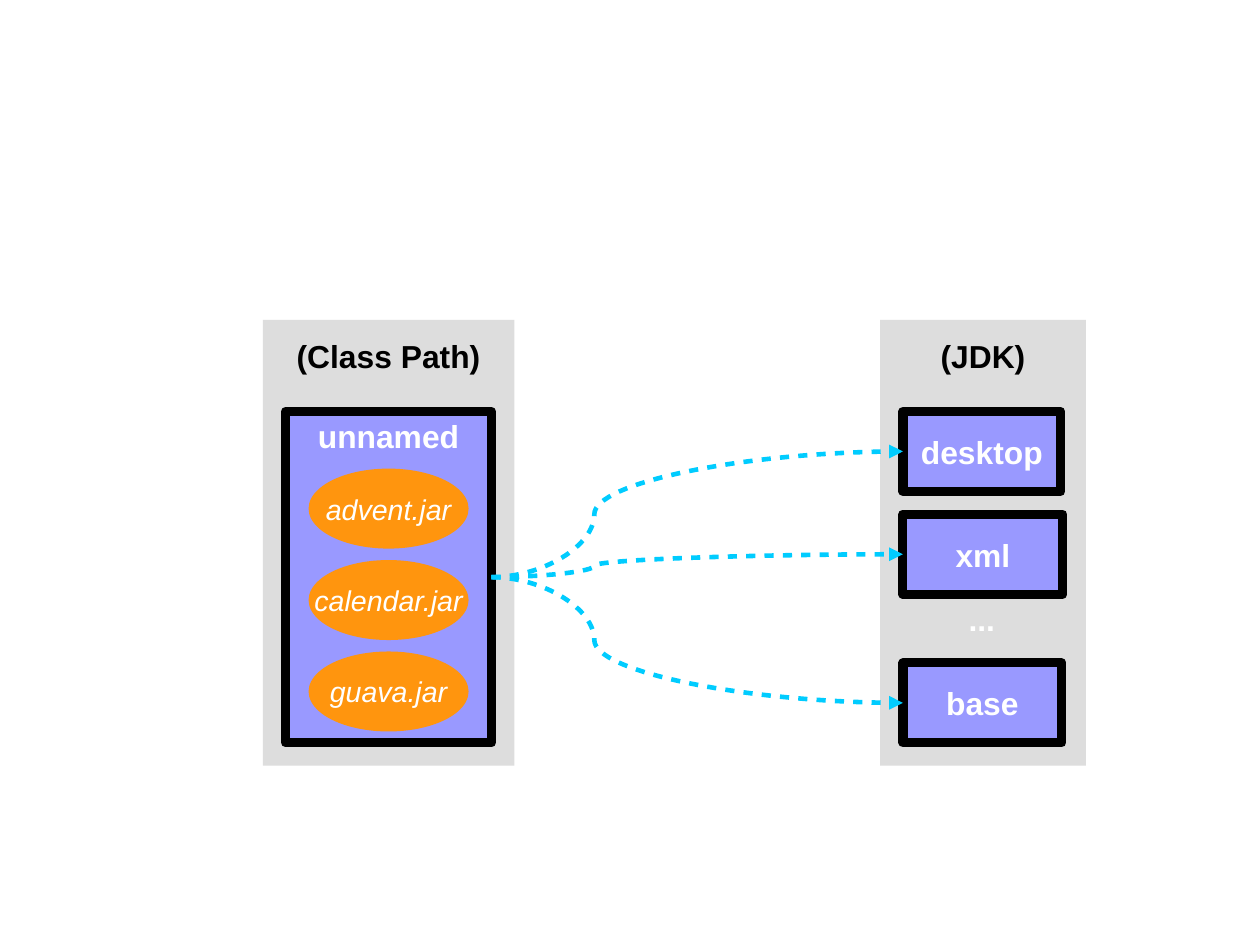
from lxml import etree
from pptx import Presentation
from pptx.dml.color import RGBColor
from pptx.enum.shapes import MSO_CONNECTOR, MSO_SHAPE
from pptx.enum.text import MSO_ANCHOR, PP_ALIGN
from pptx.oxml.ns import qn
from pptx.util import Inches, Pt

RECT, OVAL = MSO_SHAPE.RECTANGLE, MSO_SHAPE.OVAL
CURVE = MSO_CONNECTOR.CURVE
TOP, MIDDLE = MSO_ANCHOR.TOP, MSO_ANCHOR.MIDDLE
CENTER = PP_ALIGN.CENTER
BLACK = RGBColor(0x00, 0x00, 0x00)
WHITE = RGBColor(0xFF, 0xFF, 0xFF)
GREY = RGBColor(0xDD, 0xDD, 0xDD)
VIOLET = RGBColor(0x99, 0x99, 0xFF)
ORANGE = RGBColor(0xFF, 0x95, 0x0E)
CYAN = RGBColor(0x00, 0xCC, 0xFF)
LEFT_SITE, RIGHT_SITE = 1, 3
CM_PER_INCH = 2.54


def set_text(sp, text, color=WHITE, size=20, italic=False,
             anchor=MIDDLE, wrap=False, margins=(0.1, 0.05)):
    """Write one centred line of text into a shape."""
    tf = sp.text_frame
    tf.word_wrap = wrap
    tf.vertical_anchor = anchor
    tf.margin_left = tf.margin_right = Inches(margins[0])
    tf.margin_top = tf.margin_bottom = Inches(margins[1])
    p = tf.paragraphs[0]
    p.text = text
    p.alignment = CENTER
    p.font.name = "Arial"
    p.font.size = Pt(size)
    p.font.bold = not italic
    p.font.italic = italic
    p.font.color.rgb = color


def add_block(s, kind, x, y, w, h, fill, outlined=False):
    """Add a filled shape, with a thick black outline if asked."""
    sp = s.shapes.add_shape(kind, Inches(x), Inches(y), Inches(w), Inches(h))
    sp.shadow.inherit = False
    sp.fill.solid()
    sp.fill.fore_color.rgb = fill
    if outlined:
        sp.line.color.rgb = BLACK
        sp.line.width = Pt(5.75)
    else:
        sp.line.fill.background()
    return sp


def add_label(s, text, x, y, w, h, color):
    """Add a top-anchored bold label."""
    sp = s.shapes.add_textbox(Inches(x), Inches(y), Inches(w), Inches(h))
    set_text(sp, text, color, anchor=TOP, wrap=True)


def add_module(s, name, y, w):
    """Add a named JDK module box."""
    sp = add_block(s, RECT, 7.9, y, w, 0.7, VIOLET, outlined=True)
    set_text(sp, name, margins=(0.14, 0.09))
    return sp


def add_dependency(s, source, target):
    """Add a dashed curved arrow from one box to another."""
    cx = s.shapes.add_connector(CURVE, 0, 0, 0, 0)
    cx.begin_connect(source, RIGHT_SITE)
    cx.end_connect(target, LEFT_SITE)
    cx.line.color.rgb = CYAN
    cx.line.width = Pt(2.89)
    sp_pr = cx._element.spPr
    guides = sp_pr.find(qn("a:prstGeom")).find(qn("a:avLst"))
    etree.SubElement(guides, qn("a:gd"), name="adj1", fmla="val 25000")
    ln = sp_pr.find(qn("a:ln"))
    dash = etree.SubElement(ln, qn("a:custDash"))
    etree.SubElement(dash, qn("a:ds"), d="200000", sp="200000")
    etree.SubElement(ln, qn("a:tailEnd"), type="triangle")
    etree.SubElement(sp_pr, qn("a:effectLst"))


def main():
    """Build the slide and save it."""
    prs = Presentation()
    prs.slide_width = Inches(28 / CM_PER_INCH)
    prs.slide_height = Inches(21 / CM_PER_INCH)
    s = prs.slides.add_slide(prs.slide_layouts[6])

    add_block(s, RECT, 2.3, 2.8, 2.2, 3.9, GREY)
    add_block(s, RECT, 7.7, 2.8, 1.8, 3.9, GREY)
    add_label(s, "(Class Path)", 2.2, 2.9, 2.4, 0.6, BLACK)
    add_label(s, "(JDK)", 7.9, 2.9, 1.4, 0.7, BLACK)

    unnamed = add_block(s, RECT, 2.5, 3.6, 1.8, 2.9, VIOLET, outlined=True)
    add_label(s, "unnamed", 2.5, 3.6, 1.8, 0.5, WHITE)
    for i, jar in enumerate(("advent.jar", "calendar.jar", "guava.jar")):
        sp = add_block(s, OVAL, 2.7, 4.1 + 0.8 * i, 1.4, 0.7, ORANGE)
        set_text(sp, jar, size=18, italic=True)

    modules = [add_module(s, name, y, w) for name, y, w in (
        ("desktop", 3.6, 1.38), ("xml", 4.5, 1.4), ("base", 5.8, 1.39))]
    add_label(s, "...", 7.89, 5.2, 1.4, 0.7, WHITE)
    for module in modules:
        add_dependency(s, unnamed, module)

    prs.save("out.pptx")


if __name__ == "__main__":
    main()
